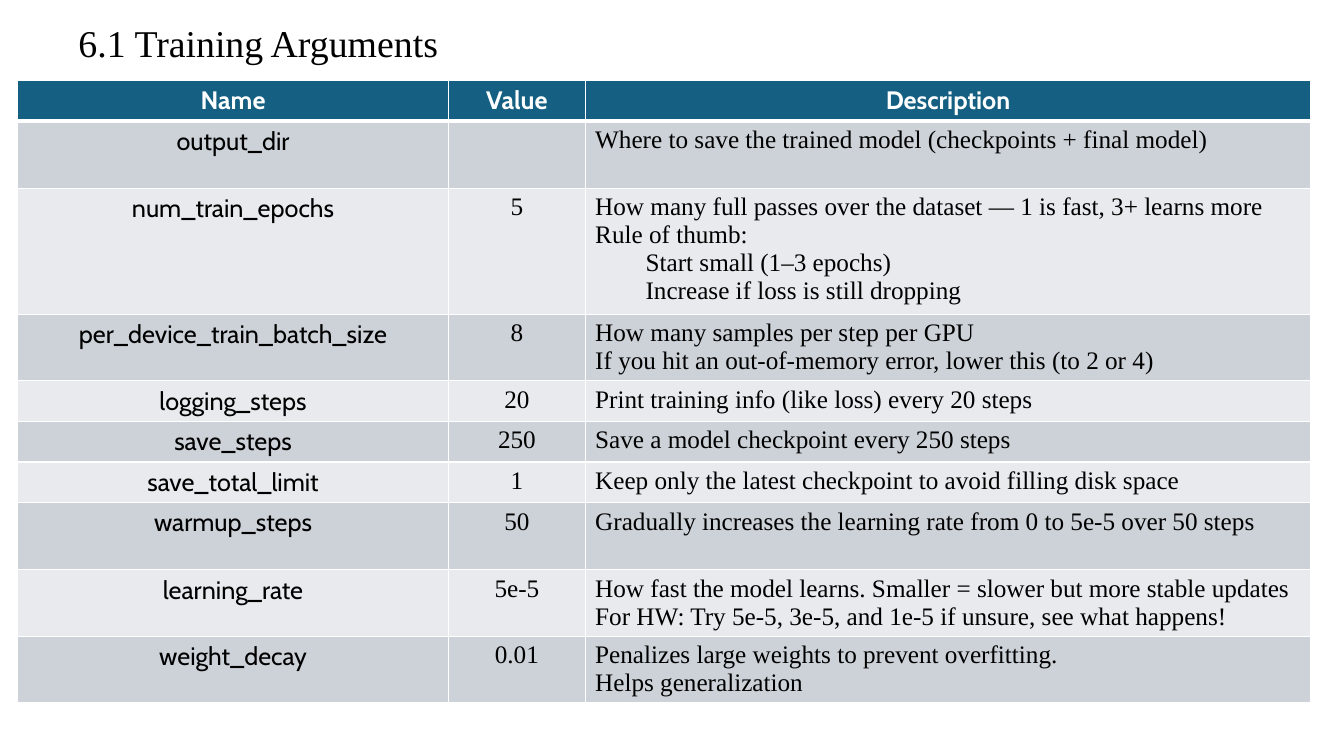
import pptx
import pptx.util
import pptx.dml.color
import pptx.enum.text
import pptx.oxml.ns
import lxml.etree

Pt = pptx.util.Pt
ALIGN = pptx.enum.text.PP_ALIGN
ANCHOR = pptx.enum.text.MSO_ANCHOR

COLOURS = {"header": "156082", "odd": "CCD2D8", "even": "E8EAED",
           "white": "FFFFFF", "ink": "000000"}
SERIF, SANS = "Times New Roman", "Cabin"
COLUMN_WIDTHS = [308, 97.5, 518.5]
INDENT = "\t"
HEADINGS = ["Name", "Value", "Description"]
ARGUMENTS = [
    ("output_dir", "", ["Where to save the trained model (checkpoints + final model)"], 48),
    ("num_train_epochs", "5",
     ["How many full passes over the dataset — 1 is fast, 3+ learns more",
      "Rule of thumb:",
      INDENT + "Start small (1–3 epochs)",
      INDENT + "Increase if loss is still dropping"], 86.5),
    ("per_device_train_batch_size", "8",
     ["How many samples per step per GPU",
      "If you hit an out-of-memory error, lower this (to 2 or 4)"], 47.5),
    ("logging_steps", "20", ["Print training info (like loss) every 20 steps"], 29),
    ("save_steps", "250", ["Save a model checkpoint every 250 steps"], 29),
    ("save_total_limit", "1",
     ["Keep only the latest checkpoint to avoid filling disk space"], 29),
    ("warmup_steps", "50",
     ["Gradually increases the learning rate from 0 to 5e-5 over 50 steps"], 48),
    ("learning_rate", "5e-5",
     ["How fast the model learns. Smaller = slower but more stable updates",
      "For HW: Try 5e-5, 3e-5, and 1e-5 if unsure, see what happens!"], 47.5),
    ("weight_decay", "0.01",
     ["Penalizes large weights to prevent overfitting.", "Helps generalization"], 47.5),
]


def colour(name):
    """Return the named colour as an RGB value."""
    return pptx.dml.color.RGBColor.from_string(COLOURS[name])


def add_span(para, text, font, size, ink="ink", bold=False):
    """Add one formatted run to a paragraph."""
    span = para.add_run()
    span.text = text
    span.font.name = font
    span.font.size = Pt(size)
    span.font.bold = bold
    span.font.color.rgb = colour(ink)


def end_para(para, font, size):
    """Give the paragraph's end mark the font and size of its text."""
    name = pptx.oxml.ns.qn
    mark = lxml.etree.SubElement(para._p, name("a:endParaRPr"), sz=str(size * 100))
    lxml.etree.SubElement(mark, name("a:latin"), typeface=font)


def add_borders(cell, top, bottom):
    """Draw white borders round a cell, with the given top and bottom widths."""
    properties = cell._tc.get_or_add_tcPr()
    name = pptx.oxml.ns.qn
    for side, width in (("lnL", 1), ("lnR", 1), ("lnT", top), ("lnB", bottom)):
        line = lxml.etree.SubElement(properties, name("a:" + side), w=str(Pt(width)))
        fill = lxml.etree.SubElement(line, name("a:solidFill"))
        lxml.etree.SubElement(fill, name("a:srgbClr"), val=COLOURS["white"])


def fill_cell(cell, lines, fill, font, align, ink="ink", bold=False):
    """Fill a cell and write its lines, one paragraph each."""
    cell.fill.solid()
    cell.fill.fore_color.rgb = colour(fill)
    cell.margin_bottom = Pt(0)
    for index, line in enumerate(lines):
        frame = cell.text_frame
        para = frame.add_paragraph() if index else frame.paragraphs[0]
        para.alignment = align
        if line.startswith(INDENT):
            para.level = 1
            properties = para._p.get_or_add_pPr()
            properties.set("marL", str(Pt(36)))
            properties.set("indent", "0")
        if line:
            add_span(para, line.strip(), font, 18, ink, bold)
        end_para(para, font, 18)


def add_title(page, left, top, width, height):
    """Place the slide title in the given box."""
    box = page.shapes.add_textbox(Pt(left), Pt(top), Pt(width), Pt(height))
    frame = box.text_frame
    frame.word_wrap = True
    frame.vertical_anchor = ANCHOR.MIDDLE
    para = frame.paragraphs[0]
    para.line_spacing = 0.9
    add_span(para, "6.1 Training Arguments", SERIF, 27)


def add_arguments(page, left, top, width):
    """Place the table of training arguments in the given box."""
    heights = [29] + [argument[3] for argument in ARGUMENTS]
    table = page.shapes.add_table(len(heights), len(HEADINGS), Pt(left), Pt(top),
                                  Pt(width), Pt(sum(heights))).table
    for column, column_width in zip(table.columns, COLUMN_WIDTHS):
        column.width = Pt(column_width)
    for index, (row, height) in enumerate(zip(table.rows, heights)):
        row.height = Pt(height)
        for cell in row.cells:
            add_borders(cell, 3 if index == 1 else 1, 3 if index == 0 else 1)
    for cell, heading in zip(table.rows[0].cells, HEADINGS):
        fill_cell(cell, [heading], "header", SANS, ALIGN.CENTER, "white", True)
    for index, (name, value, description, height) in enumerate(ARGUMENTS, 1):
        band = "odd" if index % 2 else "even"
        fill_cell(table.cell(index, 0), [name], band, SANS, ALIGN.CENTER)
        fill_cell(table.cell(index, 1), [value], band, SERIF, ALIGN.CENTER)
        fill_cell(table.cell(index, 2), description, band, SERIF, ALIGN.LEFT)


def main():
    """Build the slide and save it."""
    deck = pptx.Presentation()
    deck.slide_width, deck.slide_height = Pt(960), Pt(540)
    page = deck.slides.add_slide(deck.slide_layouts[6])
    add_title(page, 49, 13, 828, 39)
    add_arguments(page, 12.5, 57.5, sum(COLUMN_WIDTHS))
    deck.save("out.pptx")


if __name__ == "__main__":
    main()
